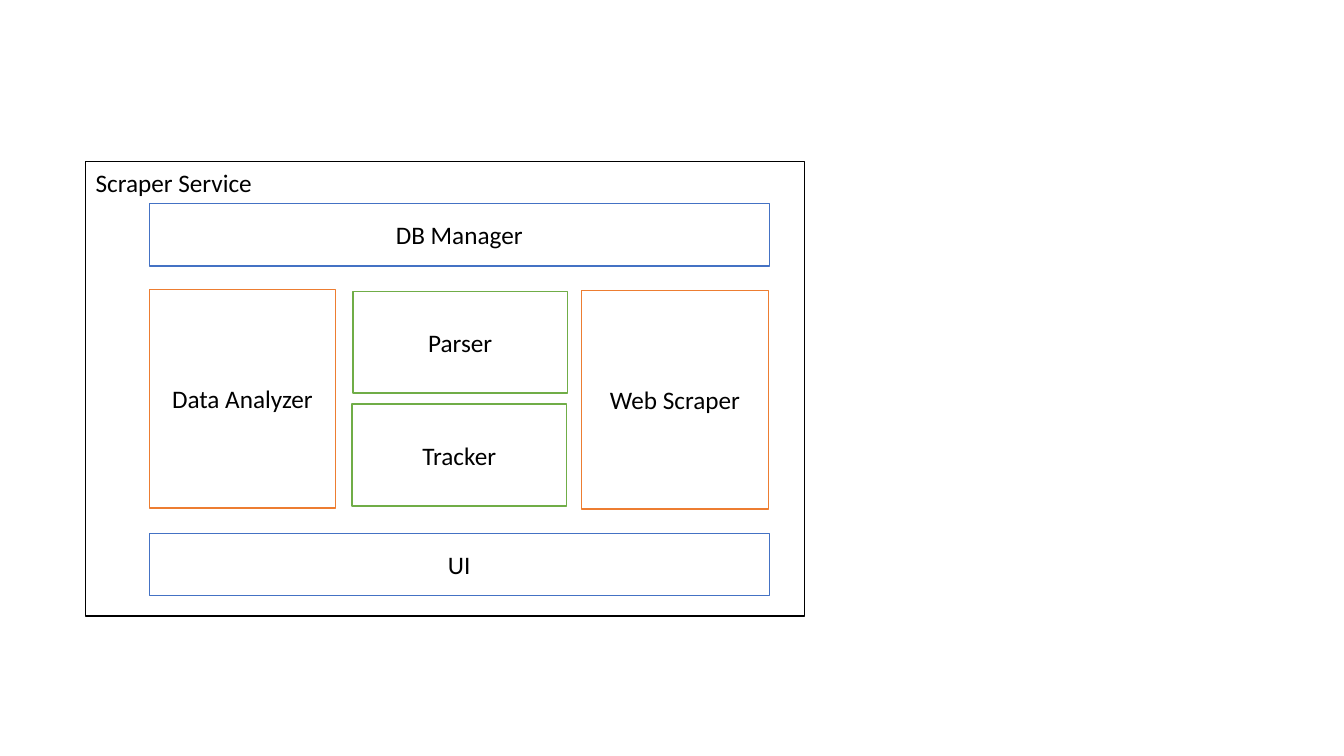
from dataclasses import dataclass

from pptx import Presentation
from pptx.dml.color import RGBColor
from pptx.enum.shapes import MSO_SHAPE
from pptx.enum.text import MSO_ANCHOR, MSO_AUTO_SIZE, PP_ALIGN
from pptx.util import Emu, Pt

RECT = MSO_SHAPE.RECTANGLE
MIDDLE = MSO_ANCHOR.MIDDLE
CENTER = PP_ALIGN.CENTER
FIT_SHAPE = MSO_AUTO_SIZE.SHAPE_TO_FIT_TEXT
EMU_PER_PX = 9144  # 100 px to the inch
BLANK_LAYOUT = 6


@dataclass(frozen=True)
class Theme:
    font: str = "Calibri"
    text_size: int = 18
    line_width: int = 1
    text: str = "000000"
    fill: str = "FFFFFF"
    frame: str = "000000"
    layer: str = "4472C4"
    worker: str = "ED7D31"
    helper: str = "70AD47"


@dataclass(frozen=True)
class Box:
    left: int
    top: int
    width: int
    height: int
    color: str
    label: str = ""


THEME = Theme()
LAYER_SIZE = (615, 62)
WORKER_SIZE = (185, 217)
HELPER_SIZE = (213, 101)

SERVICE = Box(85, 160, 713, 451, THEME.frame)
COMPONENTS = (
    Box(148, 202, *LAYER_SIZE, THEME.layer, "DB Manager"),
    Box(148, 287, *WORKER_SIZE, THEME.worker, "Data Analyzer"),
    Box(148, 529, *LAYER_SIZE, THEME.layer, "UI"),
    Box(577, 288, *WORKER_SIZE, THEME.worker, "Web Scraper"),
    Box(350, 289, *HELPER_SIZE, THEME.helper, "Parser"),
    Box(349, 401, *HELPER_SIZE, THEME.helper, "Tracker"),
)


def px(*lengths: int) -> list[Emu]:
    return [Emu(n * EMU_PER_PX) for n in lengths]


def rgb(color: str) -> RGBColor:
    return RGBColor.from_string(color)


def write(p, text: str) -> None:
    r = p.add_run()
    r.text = text
    font_format = {"name": THEME.font, "size": Pt(THEME.text_size)}
    for name, value in font_format.items():
        setattr(r.font, name, value)
    r.font.color.rgb = rgb(THEME.text)


def draw_box(s, box: Box) -> None:
    sp = s.shapes.add_shape(RECT, *px(box.left, box.top, box.width, box.height))
    sp.shadow.inherit = False
    sp.fill.solid()
    sp.fill.fore_color.rgb = rgb(THEME.fill)
    sp.line.color.rgb = rgb(box.color)
    sp.line.width = Pt(THEME.line_width)
    if box.label:
        tf = sp.text_frame
        tf.vertical_anchor = MIDDLE
        p = tf.paragraphs[0]
        p.alignment = CENTER
        write(p, box.label)


def draw_service_name(s, text: str) -> None:
    tf = s.shapes.add_textbox(*px(85, 161, 177, 40)).text_frame
    for name, value in {"word_wrap": False, "auto_size": FIT_SHAPE}.items():
        setattr(tf, name, value)
    write(tf.paragraphs[0], text)


def main() -> None:
    prs = Presentation()
    prs.slide_width, prs.slide_height = px(1333, 750)
    s = prs.slides.add_slide(prs.slide_layouts[BLANK_LAYOUT])
    draw_box(s, SERVICE)
    draw_service_name(s, "Scraper Service")
    for box in COMPONENTS:
        draw_box(s, box)
    prs.save("out.pptx")


if __name__ == "__main__":
    main()
